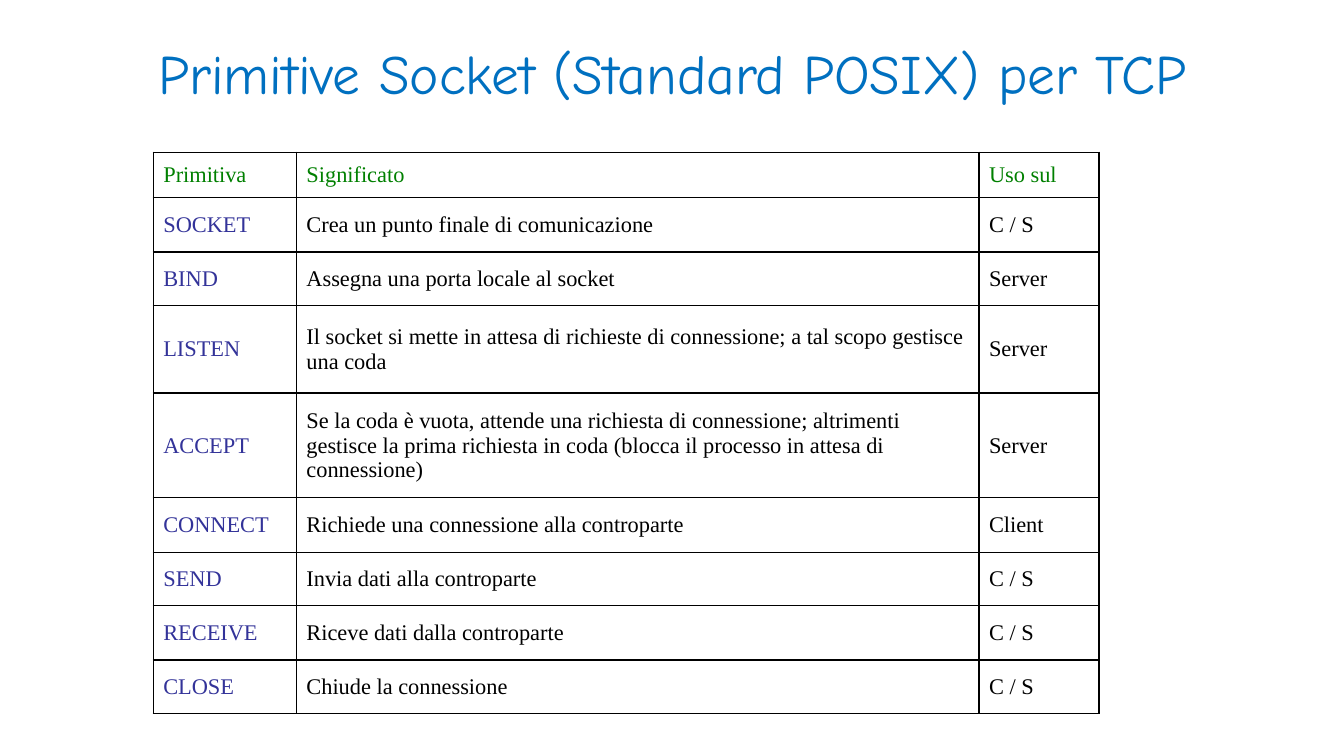
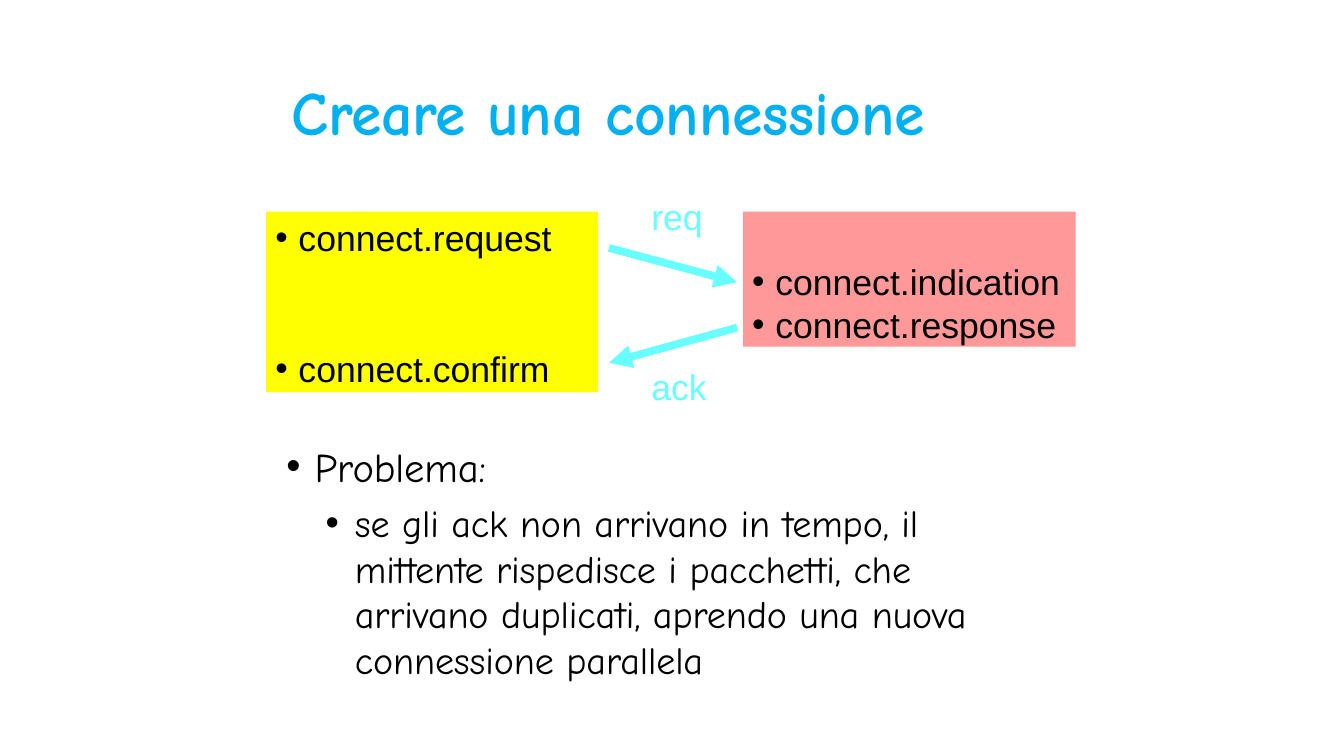
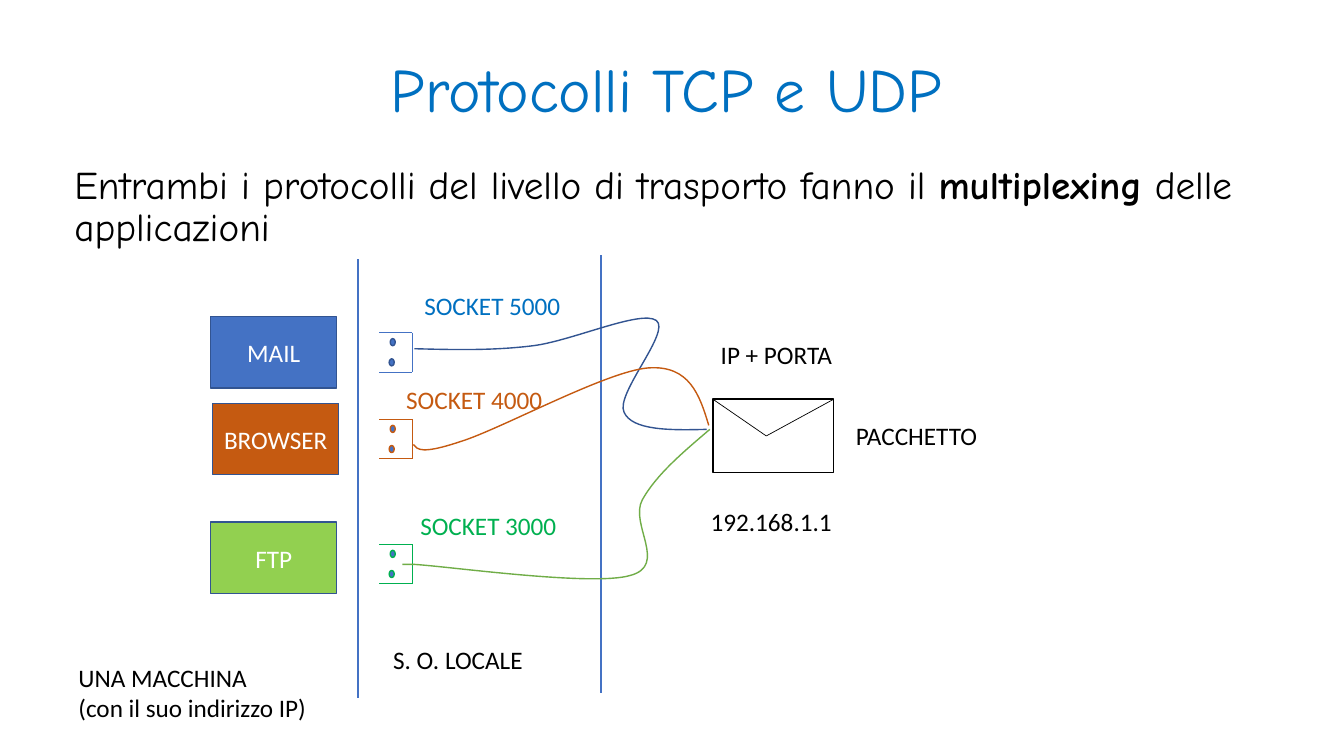
from pptx import Presentation
from pptx.dml.color import RGBColor
from pptx.enum.shapes import MSO_CONNECTOR, MSO_SHAPE
from pptx.enum.text import MSO_ANCHOR, PP_ALIGN
from pptx.oxml.ns import qn
from pptx.util import Inches, Pt
from lxml.etree import SubElement

# Shared style; the grid has square cells of one inch
COLUMNS, ROWS = 13.33, 7.5
BLACK, WHITE, BLUE, NAVY = "000000", "FFFFFF", "4472C4", "325491"
TITLE_BLUE, SKY, CYAN = "0070C0", "00B0F0", "67FFFF"
ORANGE, GREEN = "C55A11", "00B050"
HAND, SANS, SERIF, LABEL = "Comic Neue", "Arial", "Times New Roman", "Calibri"
TITLE = {"name": HAND, "size": 44, "color": TITLE_BLUE}
NOTE = {"name": LABEL, "size": 18, "color": BLACK}
MESSAGE = {"name": SANS, "size": 25.4, "color": BLACK}
NO_INSET = (0, 0, 0, 0)

# Slide 1: table of primitives
PRIMITIVES = [
    ("Primitiva", "Significato", "Uso sul"),
    ("SOCKET", "Crea un punto finale di comunicazione", "C / S"),
    ("BIND", "Assegna una porta locale al socket", "Server"),
    ("LISTEN", "Il socket si mette in attesa di richieste di connessione; "
     "a tal scopo gestisce una coda", "Server"),
    ("ACCEPT", "Se la coda è vuota, attende una richiesta di connessione; "
     "altrimenti gestisce la prima richiesta in coda (blocca il processo in "
     "attesa di connessione)", "Server"),
    ("CONNECT", "Richiede una connessione alla controparte", "Client"),
    ("SEND", "Invia dati alla controparte", "C / S"),
    ("RECEIVE", "Riceve dati dalla controparte", "C / S"),
    ("CLOSE", "Chiude la connessione", "C / S"),
]
TABLE_COLUMNS = (1.42, 6.77, 1.19)
TABLE_ROWS = (0.45, 0.54, 0.53, 0.87, 1.04, 0.54, 0.53, 0.54, 0.53)

# Slide 2: message boxes (area, fill, top inset, messages, gap between them)
MESSAGE_BOXES = [
    ((2.64, 2.1, 3.29, 1.79), "FFFF01", 0.04,
     ["connect.request", "connect.confirm"], 63.5),
    ((7.37, 2.1, 3.3, 1.34), "FF9999", 0.48,
     ["connect.indication", "connect.response"], 0),
]
MESSAGE_ARROWS = [((6.04, 2.46), (7.31, 2.8)), ((7.31, 3.25), (6.04, 3.6))]
ARROW_LABELS = [("req", (6.46, 1.93, 0.54, 0.44)),
                ("ack", (6.46, 3.62, 0.58, 0.44))]
PROBLEM = "Problema:"
PROBLEM_DETAIL = ("se gli ack non arrivano in tempo, il mittente rispedisce i "
                  "pacchetti, che arrivano duplicati, aprendo una nuova "
                  "connessione parallela")

# Slide 3: applications with their sockets and the cables to the packet
MULTIPLEXING = [("Entrambi i protocolli del livello di trasporto fanno il ", False),
                ("multiplexing", True), (" delle applicazioni", False)]
APPLICATIONS = [
    {"name": "MAIL", "fill": BLUE, "corner": (2.09, 3.14),
     "socket": "SOCKET 5000", "ink": TITLE_BLUE, "label": (4.11, 2.83),
     "plug": 3.3, "plug_line": BLUE, "dot_line": NAVY, "cable_line": NAVY,
     "cable": [(7.01, 4.26), (6.64, 4.27), (6.27, 4.27), (6.19, 4.09),
               (6.1, 3.91), (6.66, 3.29), (6.51, 3.18),
               (6.36, 3.07), (5.68, 3.38), (5.29, 3.43),
               (4.89, 3.48), (4.5, 3.47), (4.11, 3.46)]},
    {"name": "BROWSER", "fill": ORANGE, "corner": (2.11, 4),
     "socket": "SOCKET 4000", "ink": ORANGE, "label": (3.93, 3.76),
     "plug": 4.16, "plug_line": ORANGE, "dot_line": ORANGE, "cable_line": ORANGE,
     "cable": [(7.03, 4.22), (6.94, 3.92), (6.84, 3.62), (6.43, 3.65),
               (6.02, 3.68), (4.96, 4.26), (4.57, 4.38),
               (4.18, 4.51), (4.14, 4.46), (4.1, 4.41)]},
    {"name": "FTP", "fill": "92D050", "corner": (2.09, 5.18),
     "socket": "SOCKET 3000", "ink": GREEN, "label": (4.07, 5.01),
     "plug": 5.4, "plug_line": GREEN, "dot_line": GREEN, "cable_line": "70AD47",
     "cable": [(7.04, 4.26), (6.77, 4.49), (6.51, 4.71), (6.37, 4.96),
               (6.24, 5.2), (6.63, 5.61), (6.25, 5.71),
               (5.88, 5.82), (4.45, 5.62), (4.11, 5.6),
               (4.07, 5.6), (4.03, 5.6), (3.99, 5.6)]},
]
DIVIDERS = [((3.55, 2.57), (3.55, 6.92)), ((5.96, 2.53), (5.96, 6.88))]
NOTES = [
    (["S. O. LOCALE"], (3.8, 6.34, 1.92, 0.4)),
    (["192.168.1.1"], (6.95, 4.97, 1.6, 0.4)),
    (["IP + PORTA"], (7.05, 3.32, 1.36, 0.4)),
    (["PACCHETTO"], (8.39, 4.12, 1.6, 0.4)),
    (["UNA MACCHINA", "(con il suo indirizzo IP)"], (0.68, 6.52, 2.66, 0.71)),
]


def rgb(color):
    return RGBColor.from_string(color)


def grid(values):
    return [Inches(value) for value in values]


def apply(target, values):
    for name, value in values.items():
        setattr(target, name, value)


def write(frame, paragraphs, font, anchor=MSO_ANCHOR.TOP, insets=(0.1, 0.05, 0.1, 0.05)):
    """Each paragraph is a text, a list of (text, bold), or one of these with options."""
    left, top, right, bottom = grid(insets)
    apply(frame, {"word_wrap": True, "vertical_anchor": anchor,
                  "margin_left": left, "margin_top": top,
                  "margin_right": right, "margin_bottom": bottom})
    for index, entry in enumerate(paragraphs):
        content, options = entry if isinstance(entry, tuple) else (entry, {})
        paragraph = frame.add_paragraph() if index else frame.paragraphs[0]
        style = {**font, **options.get("font", {})}
        apply(paragraph, {"alignment": PP_ALIGN.LEFT, **options.get("format", {})})
        if isinstance(content, str):
            content = [(content, style.get("bold", False))]
        for text, bold in content:
            run = paragraph.add_run()
            run.text = text
            apply(run.font, {"name": style["name"], "size": Pt(style["size"]), "bold": bold})
            run.font.color.rgb = rgb(style["color"])
            if "tracking" in style:
                run._r.get_or_add_rPr().set("spc", str(style["tracking"]))
        if "bullet" in options:
            margin, hanging = grid(options["bullet"])
            properties = paragraph._p.get_or_add_pPr()
            properties.set("marL", str(margin))
            properties.set("indent", str(-hanging))
            SubElement(properties, qn("a:buFont")).set("typeface", SANS)
            SubElement(properties, qn("a:buChar")).set("char", "•")


def add_text(slide, area, paragraphs, font, **layout):
    write(slide.shapes.add_textbox(*grid(area)).text_frame, paragraphs, font, **layout)


def add_title(slide, text, area, font=TITLE, alignment=PP_ALIGN.CENTER, spacing=0.9, **layout):
    options = {"format": {"alignment": alignment, "line_spacing": spacing}}
    add_text(slide, area, [(text, options)], font, anchor=MSO_ANCHOR.MIDDLE, **layout)


def add_box(slide, area, fill, line=None, kind=MSO_SHAPE.RECTANGLE):
    shape = slide.shapes.add_shape(kind, *grid(area))
    shape.shadow.inherit = False
    shape.fill.solid()
    shape.fill.fore_color.rgb = rgb(fill)
    if line:
        shape.line.color.rgb = rgb(line)
        shape.line.width = Pt(1)
    else:
        shape.line.fill.background()
    return shape


def add_line(slide, start, end, color, width, arrow=False):
    connector = slide.shapes.add_connector(MSO_CONNECTOR.STRAIGHT, *grid(start + end))
    connector.line.color.rgb = rgb(color)
    connector.line.width = Pt(width)
    if arrow:
        SubElement(connector.line._get_or_add_ln(), qn("a:tailEnd")).set("type", "triangle")
    SubElement(connector._element.spPr, qn("a:effectLst"))


def add_cable(slide, controls, color):
    """A chain of cubic curves: a start, then three control points for each curve."""
    points = [grid(point) for point in controls]
    builder = slide.shapes.build_freeform(*points[0])
    builder.add_line_segments(points[1:], close=False)
    cable = builder.convert_to_shape()
    # Each three straight segments become one curve
    segments = list(cable._element.iter(qn("a:lnTo")))
    for first in range(0, len(segments), 3):
        curve = segments[first].makeelement(qn("a:cubicBezTo"))
        segments[first].addprevious(curve)
        for segment in segments[first:first + 3]:
            curve.append(segment[0])
            segment.getparent().remove(segment)
    cable.shadow.inherit = False
    cable.fill.background()
    cable.line.color.rgb = rgb(color)
    cable.line.width = Pt(1)


def set_borders(cell):
    properties = cell._tc.get_or_add_tcPr()
    for position, side in enumerate(("a:lnL", "a:lnR", "a:lnT", "a:lnB")):
        border = properties.makeelement(qn(side), {"w": str(Pt(1))})
        SubElement(SubElement(border, qn("a:solidFill")), qn("a:srgbClr")).set("val", BLACK)
        properties.insert(position, border)


def build_primitives(slide):
    add_title(slide, "Primitive Socket (Standard POSIX) per TCP", (0.92, 0.15, 11.5, 1.21),
              {**TITLE, "size": 39.6})
    area = (1.52, 1.51, sum(TABLE_COLUMNS), sum(TABLE_ROWS))
    table = slide.shapes.add_table(len(TABLE_ROWS), len(TABLE_COLUMNS), *grid(area)).table
    apply(table, {"first_row": False, "horz_banding": False})
    for column, width in zip(table.columns, TABLE_COLUMNS):
        column.width = Inches(width)
    for row_index, (row, height) in enumerate(zip(table.rows, TABLE_ROWS)):
        row.height = Inches(height)
        for column_index, cell in enumerate(row.cells):
            color = "008000" if row_index == 0 else BLACK if column_index else "333399"
            write(cell.text_frame, [PRIMITIVES[row_index][column_index]],
                  {"name": SERIF, "size": 16, "color": color})
            cell.vertical_anchor = MSO_ANCHOR.MIDDLE
            cell.fill.solid()
            cell.fill.fore_color.rgb = rgb(WHITE)
            set_borders(cell)


def build_connection(slide):
    add_title(slide, "Creare una connessione", (2.89, 0.72, 7.13, 0.75),
              {**TITLE, "color": SKY, "bold": True, "tracking": -10},
              PP_ALIGN.LEFT, spacing=1.0, insets=NO_INSET)
    for area, fill, inset, messages, gap in MESSAGE_BOXES:
        paragraphs = [(text, {"bullet": (0.32, 0.23),
                              "format": {"space_before": Pt(gap * index)}})
                      for index, text in enumerate(messages)]
        write(add_box(slide, area, fill).text_frame, paragraphs, MESSAGE,
              insets=(0, inset, 0, 0))
    for start, end in MESSAGE_ARROWS:
        add_line(slide, start, end, CYAN, 5.5, arrow=True)
    for text, area in ARROW_LABELS:
        add_text(slide, area, [text], {**MESSAGE, "color": CYAN}, insets=NO_INSET)
    problem = [(PROBLEM, {"bullet": (0.29, 0.28)}),
               (PROBLEM_DETAIL, {"bullet": (0.69, 0.29), "font": {"size": 27.2},
                                 "format": {"space_before": Pt(6.6)}})]
    add_text(slide, (2.83, 4.27, 7.01, 2.53), problem,
             {"name": HAND, "size": 29, "color": BLACK, "tracking": -10},
             insets=(0, 0.11, 0, 0))


def add_plug(slide, top, line, dot_line):
    left, right, bottom = 3.76, 4.09, top + 0.39
    for start, end in (((left, top), (right, top)), ((left, bottom), (right, bottom)),
                       ((right, top), (right, bottom))):
        add_line(slide, start, end, line, 0.5)
    for across, down in ((0.11, 0.06), (0.1, 0.26)):
        add_box(slide, (left + across, top + down, 0.05, 0.07), BLUE, dot_line, MSO_SHAPE.OVAL)


def build_multiplexing(slide):
    add_title(slide, "Protocolli TCP e UDP", (0.64, 0.31, 11.94, 1.21))
    add_text(slide, (0.64, 1.59, 12.34, 5.72),
             [(MULTIPLEXING, {"format": {"line_spacing": 0.9}})],
             {"name": HAND, "size": 28, "color": BLACK})
    for start, end in DIVIDERS:
        add_line(slide, start, end, BLUE, 1.75)
    # Packet drawn as an envelope
    left, top, width, height = 7.07, 3.96, 1.2, 0.73
    add_box(slide, (left, top, width, height), WHITE, BLACK)
    for corner in (left, left + width):
        add_line(slide, (corner, top), (7.6, top + height / 2), BLACK, 0.5)
    for application in APPLICATIONS:
        box = add_box(slide, application["corner"] + (1.25, 0.71), application["fill"], NAVY)
        write(box.text_frame,
              [(application["name"], {"format": {"alignment": PP_ALIGN.CENTER}})],
              {**NOTE, "color": WHITE}, anchor=MSO_ANCHOR.MIDDLE)
        add_plug(slide, application["plug"], application["plug_line"], application["dot_line"])
        add_text(slide, application["label"] + (1.6, 0.4), [application["socket"]],
                 {**NOTE, "color": application["ink"]})
        add_cable(slide, application["cable"], application["cable_line"])
    for lines, area in NOTES:
        add_text(slide, area, lines, NOTE)


def main():
    presentation = Presentation()
    presentation.slide_width, presentation.slide_height = grid((COLUMNS, ROWS))
    for build in (build_primitives, build_connection, build_multiplexing):
        build(presentation.slides.add_slide(presentation.slide_layouts[6]))
    presentation.save("out.pptx")


if __name__ == "__main__":
    main()
